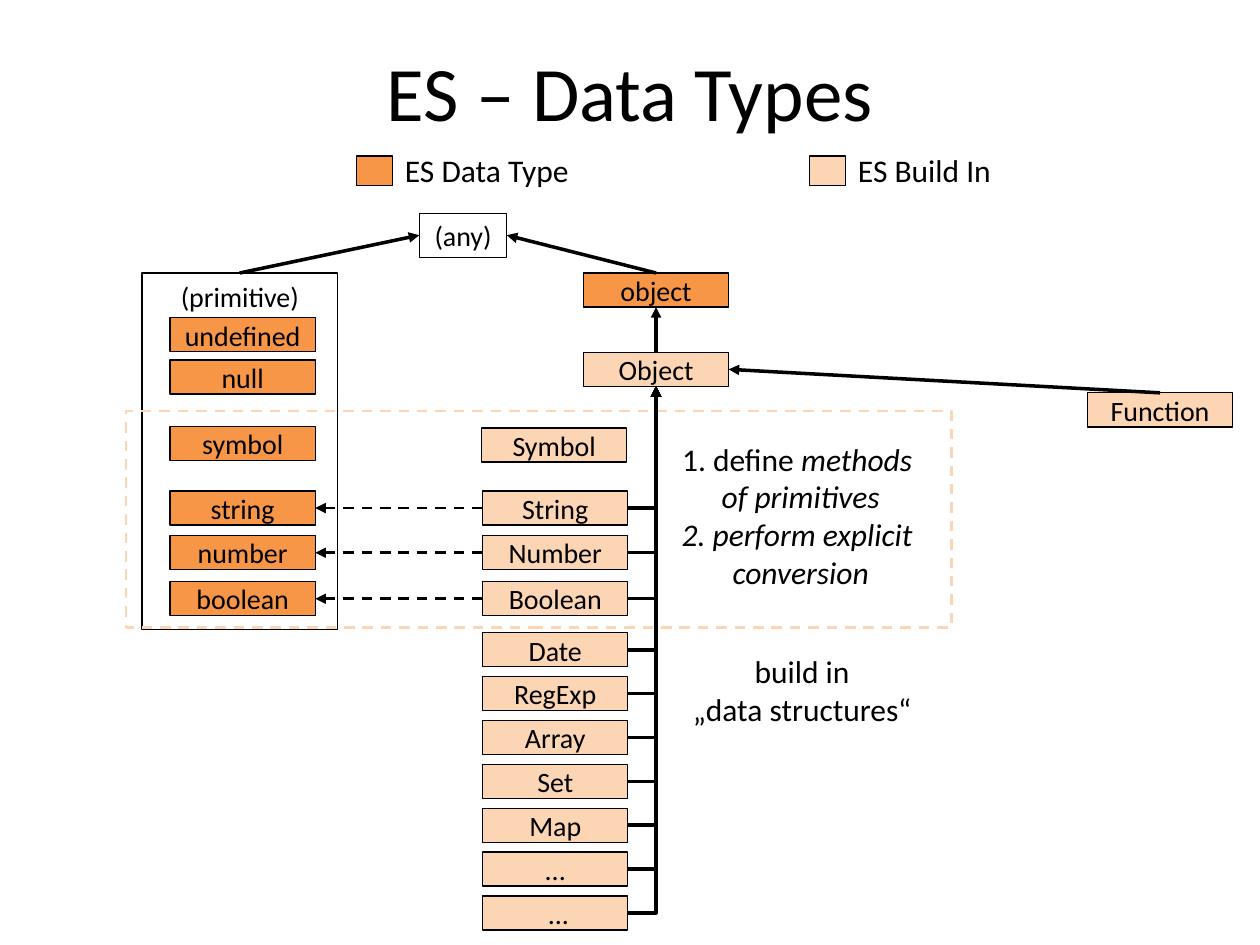
from typing import NamedTuple, Optional

from lxml.etree import SubElement
from pptx import Presentation
from pptx.dml.color import RGBColor
from pptx.enum.dml import MSO_LINE_DASH_STYLE as Dash
from pptx.enum.shapes import MSO_CONNECTOR as Connector
from pptx.enum.shapes import MSO_SHAPE as Preset
from pptx.enum.text import MSO_ANCHOR as Anchor
from pptx.enum.text import MSO_AUTO_SIZE as AutoSize
from pptx.enum.text import PP_ALIGN as Align
from pptx.oxml.ns import qn
from pptx.util import Pt

BLACK = RGBColor(0x00, 0x00, 0x00)
ORANGE = RGBColor(0xF7, 0x96, 0x46)
PEACH = RGBColor(0xFC, 0xD5, 0xB5)
FONT = "Calibri"

TYPE_WIDTH, TYPE_HEIGHT = 83, 19.5
PRIMITIVE_LEFT, BUILT_IN_LEFT, OBJECT_LEFT = 97.2, 275.8, 333.4
OBJECT_CENTER = OBJECT_LEFT + TYPE_WIDTH / 2
OBJECT_TOP, BUILT_IN_OBJECT_TOP = 156, 201.3
FUNCTION_LEFT, FUNCTION_TOP = 621.4, 224.5
ANY_LEFT, ANY_TOP, ANY_WIDTH, ANY_HEIGHT = 239.6, 121.8, 50, 25.2
WRAPPER_TOPS = {"string": 280.6, "number": 306.1, "boolean": 332.4}
STRUCTURES = ["Date", "RegExp", "Array", "Set", "Map", "...", " ..."]
STRUCTURE_TOP, STRUCTURE_STEP = 361.6, 25.06


class Box(NamedTuple):
    left: float
    top: float
    width: float = TYPE_WIDTH
    height: float = TYPE_HEIGHT
    text: str = ""
    fill: Optional[RGBColor] = None
    line: RGBColor = BLACK
    weight: float = 0.75
    dash: Optional[Dash] = None
    anchor: Anchor = Anchor.MIDDLE


class Link(NamedTuple):
    start: tuple[float, float]
    end: tuple[float, float]
    weight: float = 2
    dash: Optional[Dash] = None
    bent: bool = False


class Label(NamedTuple):
    left: float
    top: float
    width: float
    height: float
    text: str
    size: float = 18
    align: Align = Align.LEFT
    anchor: Anchor = Anchor.TOP
    wrap: bool = False


def write_text(shape, text: str, *, size: float, align: Align, anchor: Anchor) -> None:
    """Fill a shape; parts of a line between asterisks are italic."""
    frame = shape.text_frame
    frame.vertical_anchor = anchor
    for index, line in enumerate(text.split("\n")):
        paragraph = frame.add_paragraph() if index else frame.paragraphs[0]
        paragraph.alignment = align
        for part, words in enumerate(line.split("*")):
            if words:
                run = paragraph.add_run()
                run.text = words
                run.font.name = FONT
                run.font.size = Pt(size)
                run.font.color.rgb = BLACK
                run.font.italic = part % 2 == 1


def draw_box(slide, box: Box) -> None:
    shape = slide.shapes.add_shape(
        Preset.RECTANGLE, Pt(box.left), Pt(box.top), Pt(box.width), Pt(box.height)
    )
    shape.shadow.inherit = False
    if box.fill is None:
        shape.fill.background()
    else:
        shape.fill.solid()
        shape.fill.fore_color.rgb = box.fill
    shape.line.color.rgb = box.line
    shape.line.width = Pt(box.weight)
    if box.dash is not None:
        shape.line.dash_style = box.dash
    if box.text:
        write_text(shape, box.text, size=16, align=Align.CENTER, anchor=box.anchor)


def draw_link(slide, link: Link) -> None:
    kind = Connector.ELBOW if link.bent else Connector.STRAIGHT
    ends = [Pt(value) for value in (*link.start, *link.end)]
    connector = slide.shapes.add_connector(kind, *ends)
    connector.line.color.rgb = BLACK
    connector.line.width = Pt(link.weight)
    if link.dash is not None:
        connector.line.dash_style = link.dash
    properties = connector._element.spPr
    if link.bent:
        properties.find(qn("a:prstGeom")).set("prst", "bentConnector2")
    SubElement(properties.find(qn("a:ln")), qn("a:tailEnd"), type="triangle")
    SubElement(properties, qn("a:effectLst"))


def draw_label(slide, label: Label) -> None:
    shape = slide.shapes.add_textbox(
        Pt(label.left), Pt(label.top), Pt(label.width), Pt(label.height)
    )
    shape.text_frame.word_wrap = label.wrap
    shape.text_frame.auto_size = AutoSize.NONE if label.wrap else AutoSize.SHAPE_TO_FIT_TEXT
    write_text(shape, label.text, size=label.size, align=label.align, anchor=label.anchor)


def middle(top: float) -> float:
    return top + TYPE_HEIGHT / 2


def make_boxes() -> list[Box]:
    primitives = {"undefined": 181.6, "null": 205.7, "symbol": 243.8, **WRAPPER_TOPS}
    built_ins = [(name.capitalize(), top) for name, top in WRAPPER_TOPS.items()]
    built_ins += [
        (name, STRUCTURE_TOP + row * STRUCTURE_STEP) for row, name in enumerate(STRUCTURES)
    ]
    return [
        Box(81.2, OBJECT_TOP, 111.7, 203.8, "(primitive)", anchor=Anchor.TOP),
        Box(ANY_LEFT, ANY_TOP, ANY_WIDTH, ANY_HEIGHT, "(any)"),
        Box(OBJECT_LEFT, OBJECT_TOP, text="object", fill=ORANGE),
        Box(OBJECT_LEFT, BUILT_IN_OBJECT_TOP, text="Object", fill=PEACH),
        Box(FUNCTION_LEFT, FUNCTION_TOP, text="Function", fill=PEACH),
        *(Box(PRIMITIVE_LEFT, top, text=name, fill=ORANGE) for name, top in primitives.items()),
        *(Box(BUILT_IN_LEFT, top, text=name, fill=PEACH) for name, top in built_ins),
        Box(203.7, 89.2, 20.6, 17, fill=ORANGE),
        Box(462.7, 89.2, 20.6, 17, fill=PEACH),
        Box(72, 234.8, 471.6, 123.8, line=PEACH, weight=1.5, dash=Dash.DASH),
        Box(275.2, 244.6, text="Symbol", fill=PEACH),
    ]


def make_links() -> list[Link]:
    any_middle = ANY_TOP + ANY_HEIGHT / 2
    wrappers = [middle(top) for top in WRAPPER_TOPS.values()]
    structures = [
        middle(STRUCTURE_TOP + row * STRUCTURE_STEP) for row in range(len(STRUCTURES))
    ]
    trunk_end = (OBJECT_CENTER, BUILT_IN_OBJECT_TOP + TYPE_HEIGHT)
    return [
        Link((OBJECT_CENTER, OBJECT_TOP), (ANY_LEFT + ANY_WIDTH, any_middle)),
        Link((137, OBJECT_TOP), (ANY_LEFT, any_middle)),
        Link((FUNCTION_LEFT + TYPE_WIDTH / 2, FUNCTION_TOP),
             (OBJECT_LEFT + TYPE_WIDTH, middle(BUILT_IN_OBJECT_TOP))),
        Link((OBJECT_CENTER, BUILT_IN_OBJECT_TOP), (OBJECT_CENTER, OBJECT_TOP + TYPE_HEIGHT)),
        *(Link((BUILT_IN_LEFT + TYPE_WIDTH, y), trunk_end, bent=True)
          for y in wrappers + structures),
        *(Link((BUILT_IN_LEFT, y), (PRIMITIVE_LEFT + TYPE_WIDTH, y), 1.5, Dash.DASH)
          for y in wrappers),
    ]


LABELS = [
    Label(36, 21.6, 648, 60.5, "ES – Data Types", 44, Align.CENTER, Anchor.MIDDLE, True),
    Label(224.3, 83, 108.7, 29, "ES Data Type"),
    Label(483.2, 83, 99.4, 29, "ES Build In"),
    Label(388, 369.2, 144.7, 51, "build in \n„data structures“ ", align=Align.CENTER),
    Label(381.6, 247.7, 151.9, 94.3,
          "1. define *methods *\n*of primitives*\n*2. perform explicit *\n*conversion*",
          align=Align.CENTER),
]


def main() -> None:
    presentation = Presentation()
    presentation.slide_width, presentation.slide_height = Pt(720), Pt(540)
    slide = presentation.slides.add_slide(presentation.slide_layouts[6])
    for box in make_boxes():
        draw_box(slide, box)
    for link in make_links():
        draw_link(slide, link)
    for label in LABELS:
        draw_label(slide, label)
    presentation.save("out.pptx")


if __name__ == "__main__":
    main()
